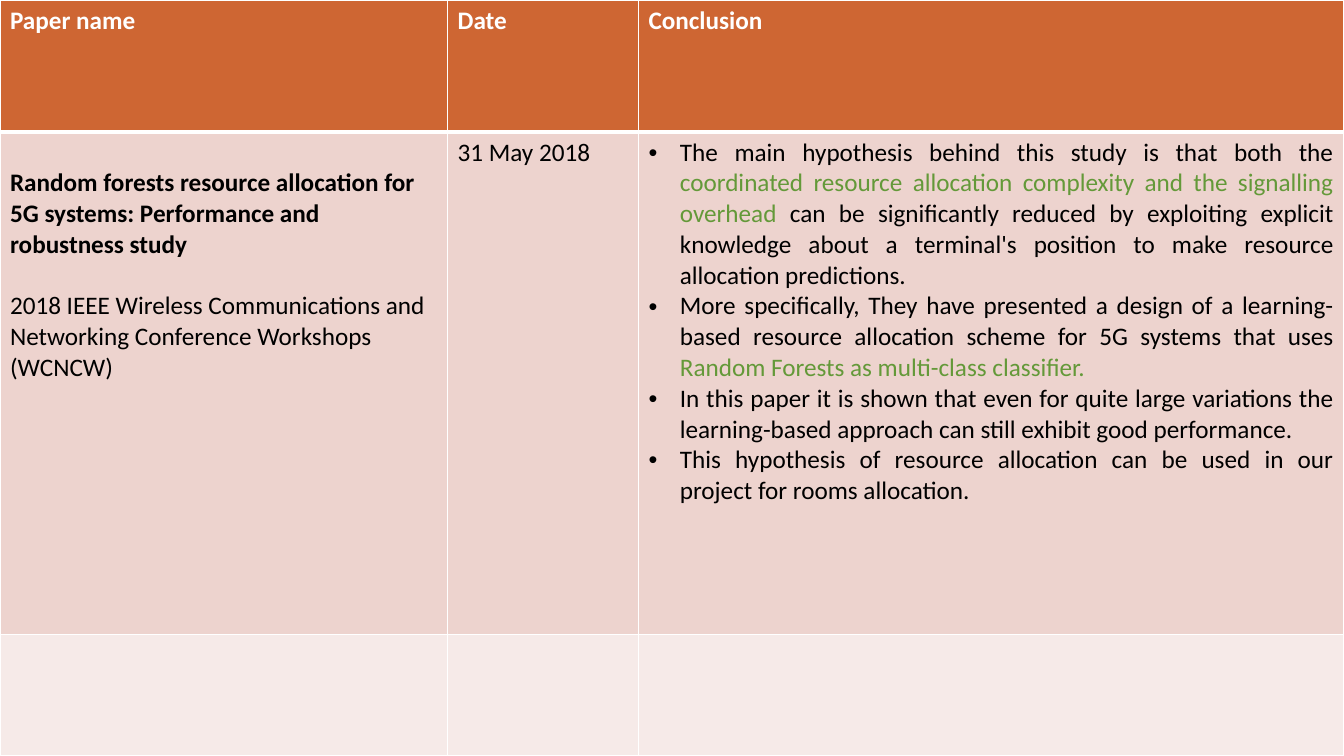
"""Build a literature review slide with a table of papers and conclusions."""
from lxml.etree import SubElement
from pptx import Presentation
from pptx.dml.color import RGBColor
from pptx.enum.text import PP_ALIGN as Align
from pptx.oxml import parse_xml
from pptx.oxml.ns import nsdecls, qn
from pptx.util import Cm, Pt

WHITE = RGBColor(0xFF, 0xFF, 0xFF)
GREY = RGBColor(0xB9, 0xB9, 0xB9)
BLACK = RGBColor(0x00, 0x00, 0x00)
GREEN = RGBColor(0x64, 0x99, 0x39)
ORANGE = RGBColor(0xCE, 0x66, 0x33)
ROSE = RGBColor(0xED, 0xD3, 0xCE)
PALE = RGBColor(0xF6, 0xEA, 0xE8)

COL_WIDTHS = (11.28, 4.81, 17.78)
ROW_HEIGHTS = (3.33, 12.65, 3.07)
ROW_FILLS = (ORANGE, ROSE, PALE)
HEADINGS = ("Paper name", "Date", "Conclusion")
PAPER = "Random forests resource allocation for 5G systems: Performance and robustness study"
VENUE = "2018 IEEE Wireless Communications and Networking Conference Workshops (WCNCW)"
CONCLUSIONS = (
    (("The main hypothesis behind this study is that both the ", BLACK),
     ("coordinated resource allocation complexity and the signalling overhead ", GREEN),
     ("can be significantly reduced by exploiting explicit knowledge about a "
      "terminal's position to make resource allocation predictions.", BLACK)),
    (("More specifically, They have presented a design of a learning-based "
      "resource allocation scheme for 5G systems that uses ", BLACK),
     ("Random Forests as multi-class classifier.", GREEN)),
    (("In this paper it is shown that even for quite large variations the "
      "learning-based approach can still exhibit good performance.", BLACK),),
    (("This hypothesis of resource allocation can be used in our project "
      "for rooms allocation.", BLACK),),
)


class ReviewSlide:
    def __init__(self, prs, font="Calibri", size=18):
        self.font, self.size = font, Pt(size)
        self.slide = prs.slides.add_slide(prs.slide_layouts[6])

    def background(self, top, bottom):
        fill = self.slide.background.fill
        fill.gradient()
        fill.gradient_angle = 270
        for i, color in enumerate((top, bottom)):
            stop = fill.gradient_stops[i]
            stop.color.rgb = color
            stop.position = i

    def table(self, widths, heights, fills):
        table = self.slide.shapes.add_table(
            len(heights), len(widths), 0, 0, Cm(sum(widths)), Cm(sum(heights))).table
        for column, width in zip(table.columns, widths):
            column.width = Cm(width)
        for i, (row, height) in enumerate(zip(table.rows, heights)):
            row.height = Cm(height)
            for cell in row.cells:
                cell.fill.solid()
                cell.fill.fore_color.rgb = fills[i]
                self.borders(cell, top=3 if i == 1 else 1, bottom=3 if i == 0 else 1)
        return table

    def borders(self, cell, top, bottom):
        tc_pr = cell._tc.get_or_add_tcPr()
        for i, (side, width) in enumerate(zip("LRTB", (1, 1, top, bottom))):
            tc_pr.insert(i, parse_xml(
                f'<a:ln{side} {nsdecls("a")} w="{Pt(width)}"><a:solidFill>'
                f'<a:srgbClr val="{WHITE}"/></a:solidFill></a:ln{side}>'))

    def run(self, p, text, color=BLACK, bold=False):
        r = p.add_run()
        r.text = text
        r.font.name, r.font.size = self.font, self.size
        r.font.bold = bold
        r.font.color.rgb = color

    def bullets(self, tf, items):
        for i, item in enumerate(items):
            p = tf.add_paragraph() if i else tf.paragraphs[0]
            p.alignment = Align.JUSTIFY
            p_pr = p._p.get_or_add_pPr()
            p_pr.set("marL", str(Cm(0.79)))
            p_pr.set("indent", str(-Cm(0.79)))
            SubElement(p_pr, qn("a:buFont")).set("typeface", "Arial")
            SubElement(p_pr, qn("a:buChar")).set("char", "•")
            for text, color in item:
                self.run(p, text, color)


def main():
    prs = Presentation()
    prs.slide_width, prs.slide_height = Cm(33.87), Cm(19.05)
    s = ReviewSlide(prs)
    s.background(WHITE, GREY)
    table = s.table(COL_WIDTHS, ROW_HEIGHTS, ROW_FILLS)
    for i, heading in enumerate(HEADINGS):
        s.run(table.cell(0, i).text_frame.paragraphs[0], heading, WHITE, bold=True)

    paper, date, conclusion = (table.cell(1, i) for i in range(3))
    paper.margin_top = Cm(0.9)
    s.run(paper.text_frame.paragraphs[0], PAPER, bold=True)
    p = paper.text_frame.add_paragraph()
    p.space_before = Pt(22)
    s.run(p, VENUE)
    s.run(date.text_frame.paragraphs[0], "31 May 2018")
    s.bullets(conclusion.text_frame, CONCLUSIONS)
    prs.save("out.pptx")


if __name__ == "__main__":
    main()
